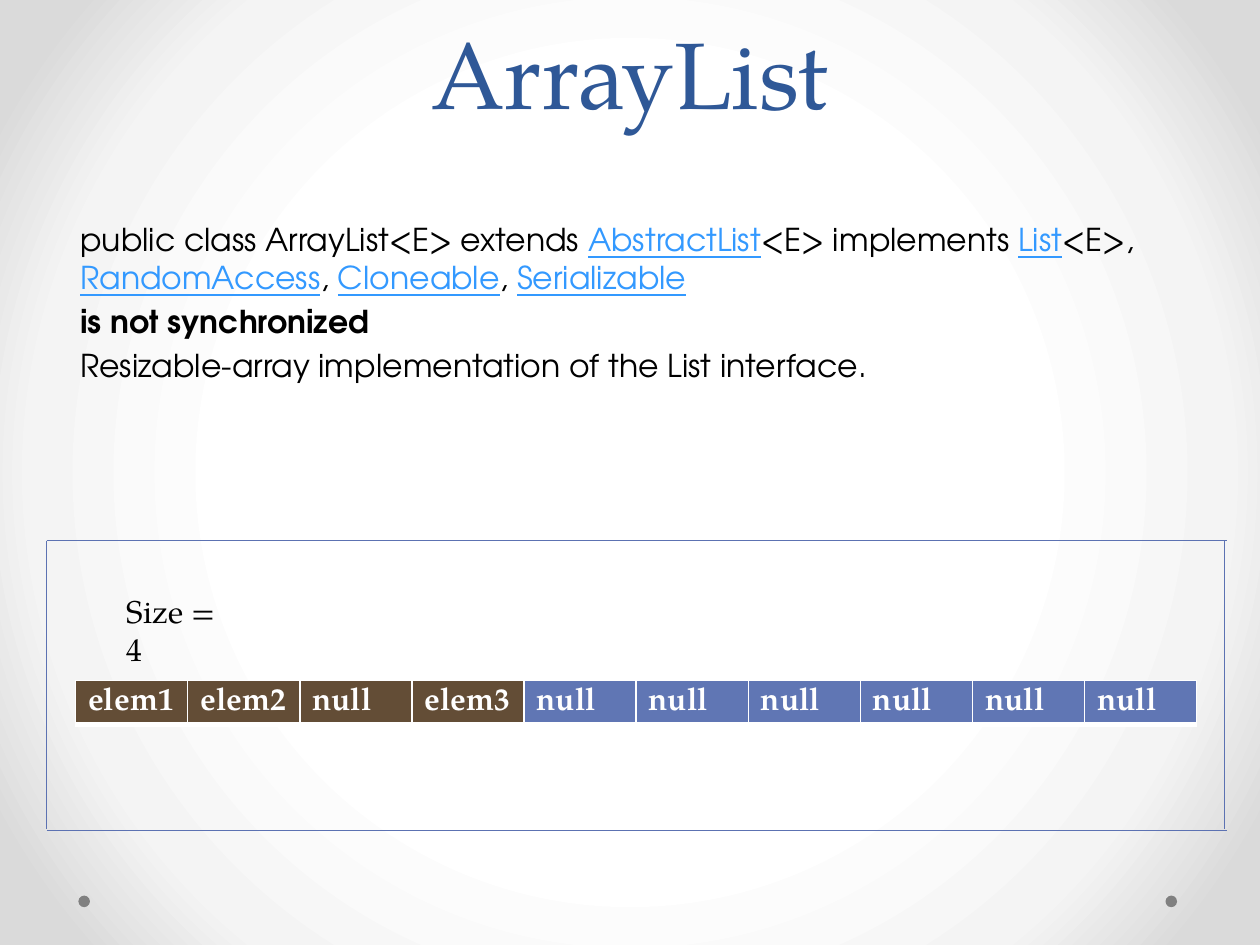
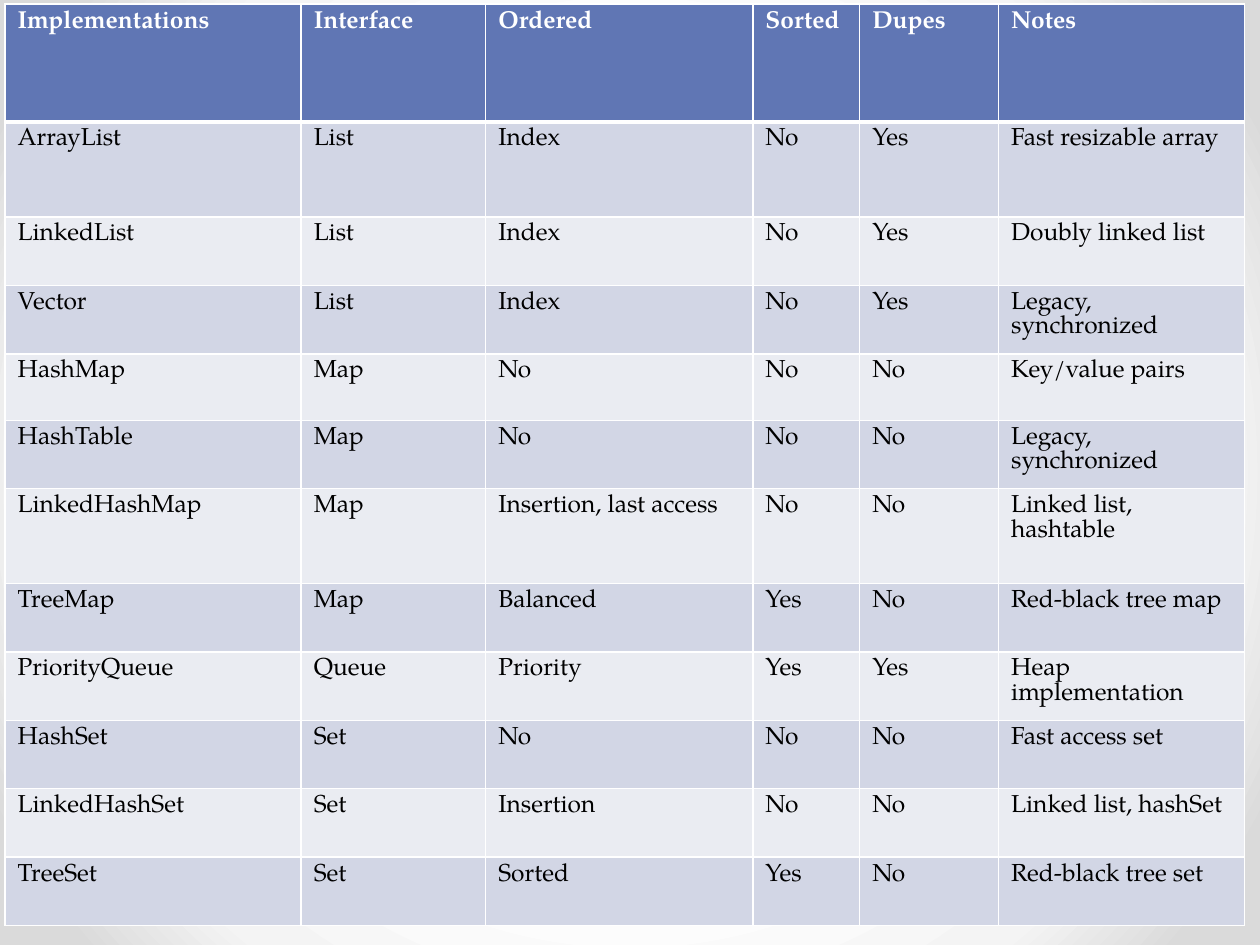
from pptx import Presentation
from pptx.dml.color import RGBColor
from pptx.enum.shapes import MSO_CONNECTOR, MSO_SHAPE
from pptx.enum.text import MSO_ANCHOR, PP_ALIGN
from pptx.oxml import parse_xml
from pptx.oxml.ns import nsdecls, qn
from pptx.util import Pt

WHITE = RGBColor(0xFF, 0xFF, 0xFF)
BLACK = RGBColor(0, 0, 0)
TITLE_BLUE = RGBColor(0x2F, 0x58, 0x97)
LINK_BLUE = RGBColor(0x33, 0x99, 0xFF)
FRAME_BLUE = RGBColor(0x5C, 0x72, 0xB2)
HEADER_BLUE = RGBColor(0x60, 0x76, 0xB4)
USED_BROWN = RGBColor(0x63, 0x4D, 0x36)
BAND_DARK = RGBColor(0xD2, 0xD6, 0xE5)
BAND_LIGHT = RGBColor(0xEA, 0xEC, 0xF2)
DOT_GRAY = RGBColor(0x80, 0x80, 0x80)
BACKDROP_STOPS = (
    (50, WHITE),
    (76, RGBColor(0xF4, 0xF4, 0xF4)),
    (92, RGBColor(0xDA, 0xDA, 0xDA)),
)
SERIF = "TeX Gyre Pagella"
SANS = "TeX Gyre Adventor"

TITLE = {"name": SERIF, "size": Pt(54), "color": TITLE_BLUE}
BODY = {"name": SANS, "size": Pt(18), "color": BLACK}
STRONG = {**BODY, "bold": True}
LINK = {**BODY, "color": LINK_BLUE, "underline": True}
LABEL = {**BODY, "name": SERIF}
ARRAY_CELL = {**LABEL, "color": WHITE, "bold": True}
TABLE_CELL = {**LABEL, "size": Pt(14)}
TABLE_HEADER = {**TABLE_CELL, "color": WHITE, "bold": True}

DECLARATION = [
    ("public class ArrayList<E> extends ", BODY),
    ("AbstractList", LINK),
    ("<E> implements ", BODY),
    ("List", LINK),
    ("<E>, ", BODY),
    ("RandomAccess", LINK),
    (", ", BODY),
    ("Cloneable", LINK),
    (", ", BODY),
    ("Serializable", LINK),
]
ARRAY_SLOTS = ["elem1", "elem2", "null", "elem3"] + ["null"] * 6
USED_SLOTS = 4

COLLECTIONS = [
    ("Implementations", "Interface", "Ordered", "Sorted", "Dupes", "Notes"),
    ("ArrayList", "List", "Index", "No", "Yes", "Fast resizable array"),
    ("LinkedList", "List", "Index", "No", "Yes", "Doubly linked list"),
    ("Vector", "List", "Index", "No", "Yes", "Legacy, synchronized"),
    ("HashMap", "Map", "No", "No", "No", "Key/value pairs"),
    ("HashTable", "Map", "No", "No", "No", "Legacy, synchronized"),
    ("LinkedHashMap", "Map", "Insertion, last access", "No", "No",
     "Linked list, hashtable"),
    ("TreeMap", "Map", "Balanced", "Yes", "No", "Red-black tree map"),
    ("PriorityQueue", "Queue", "Priority", "Yes", "Yes", "Heap implementation"),
    ("HashSet", "Set", "No", "No", "No", "Fast access set"),
    ("LinkedHashSet", "Set", "Insertion", "No", "No", "Linked list, hashSet"),
    ("TreeSet", "Set", "Sorted", "Yes", "No", "Red-black tree set"),
]
COLLECTION_WIDTHS = [169.2, 105.5, 152.6, 61.1, 79.4, 140.6]
COLLECTION_HEIGHTS = [67.6, 54.2, 39.1, 39.1, 38, 39.1, 54.2] + [39.1] * 5


class Deck:
    def __init__(self):
        self.presentation = Presentation()
        self.presentation.slide_width = Pt(720)
        self.presentation.slide_height = Pt(540)
        self.slide = None
        self.paint_backdrop()

    def paint_backdrop(self):
        master = self.presentation.slide_master
        master.background.fill.gradient()
        gradient = next(master.element.iter(qn("a:gradFill")))
        stops = "".join(
            f'<a:gs pos="{percent * 1000}"><a:srgbClr val="{color}"/></a:gs>'
            for percent, color in BACKDROP_STOPS
        )
        radial = parse_xml(
            f'<a:gradFill {nsdecls("a")} rotWithShape="1"><a:gsLst>{stops}</a:gsLst>'
            '<a:path path="circle"><a:fillToRect l="50000" t="50000" r="50000"'
            ' b="50000"/></a:path></a:gradFill>'
        )
        gradient.getparent().replace(gradient, radial)

    def new_slide(self):
        blank = self.presentation.slide_layouts[6]
        self.slide = self.presentation.slides.add_slide(blank)
        for left in (666, 44.8):
            self.dot(left, 511.8, 6.6)

    def dot(self, left, top, size):
        dot = self.slide.shapes.add_shape(
            MSO_SHAPE.OVAL, Pt(left), Pt(top), Pt(size), Pt(size)
        )
        dot.shadow.inherit = False
        dot.fill.solid()
        dot.fill.fore_color.rgb = DOT_GRAY
        dot.line.fill.background()

    def add_runs(self, paragraph, runs, **layout):
        for attribute, value in layout.items():
            setattr(paragraph, attribute, value)
        for words, style in runs:
            run = paragraph.add_run()
            run.text = words
            for attribute, value in style.items():
                if attribute == "color":
                    run.font.color.rgb = value
                else:
                    setattr(run.font, attribute, value)

    def text(self, left, top, width, height, paragraphs,
             anchor=MSO_ANCHOR.TOP, **layout):
        box = self.slide.shapes.add_textbox(Pt(left), Pt(top), Pt(width), Pt(height))
        frame = box.text_frame
        frame.word_wrap = True
        frame.vertical_anchor = anchor
        for index, runs in enumerate(paragraphs):
            paragraph = frame.add_paragraph() if index else frame.paragraphs[0]
            self.add_runs(paragraph, runs, **layout)

    def line(self, start, end):
        line = self.slide.shapes.add_connector(
            MSO_CONNECTOR.STRAIGHT, *(Pt(value) for value in (*start, *end))
        )
        line.line.color.rgb = FRAME_BLUE
        line.line.width = Pt(0.75)
        line._element.spPr.append(parse_xml(f'<a:effectLst {nsdecls("a")}/>'))

    def border(self, cell, row):
        widths = {"L": 1, "R": 1, "T": 3 if row == 1 else 1, "B": 3 if row == 0 else 1}
        properties = cell._tc.get_or_add_tcPr()
        for position, (side, width) in enumerate(widths.items()):
            properties.insert(position, parse_xml(
                f'<a:ln{side} {nsdecls("a")} w="{Pt(width)}"><a:solidFill>'
                f'<a:srgbClr val="{WHITE}"/></a:solidFill></a:ln{side}>'
            ))

    def table(self, left, top, widths, heights, rows, look):
        table = self.slide.shapes.add_table(
            len(rows), len(widths), Pt(left), Pt(top),
            Pt(sum(widths)), Pt(sum(heights)),
        ).table
        table.first_row = table.horz_banding = False
        for column, width in zip(table.columns, widths):
            column.width = Pt(width)
        for row_index, (row, height) in enumerate(zip(rows, heights)):
            table.rows[row_index].height = Pt(height)
            for column_index, words in enumerate(row):
                cell = table.cell(row_index, column_index)
                fill, style = look(row_index, column_index)
                cell.fill.solid()
                cell.fill.fore_color.rgb = fill
                self.border(cell, row_index)
                self.add_runs(cell.text_frame.paragraphs[0], [(words, style)],
                              line_spacing=style["size"])


def slot_look(row, column):
    return (USED_BROWN if column < USED_SLOTS else HEADER_BLUE), ARRAY_CELL


def collection_look(row, column):
    if row == 0:
        return HEADER_BLUE, TABLE_HEADER
    return (BAND_DARK if row % 2 else BAND_LIGHT), TABLE_CELL


def array_list_slide(deck):
    deck.new_slide()
    deck.text(36, 0, 648, 77, [[("ArrayList", TITLE)]], MSO_ANCHOR.BOTTOM,
              alignment=PP_ALIGN.CENTER, line_spacing=Pt(58))
    deck.text(38.9, 122.4, 648, 442, [
        DECLARATION,
        [("is not synchronized", STRONG)],
        [("Resizable-array implementation of the List interface.", BODY)],
    ], space_before=Pt(3.6))
    deck.table(43.2, 388.8, [64.08] * len(ARRAY_SLOTS), [25.2],
               [ARRAY_SLOTS], slot_look)
    left, right, top, bottom = 26.6, 699.8, 308.9, 474.5
    for x in (left, right):
        deck.line((x, top), (x, bottom - 0.7))
    for y in (top, bottom):
        deck.line((left, y), (right + 1.4, y))
    deck.text(65.5, 334.8, 74.2, 28.8, [[("Size = 4", LABEL)]])


def collections_slide(deck):
    deck.new_slide()
    deck.table(2.9, 2.2, COLLECTION_WIDTHS, COLLECTION_HEIGHTS,
               COLLECTIONS, collection_look)


def main():
    deck = Deck()
    array_list_slide(deck)
    collections_slide(deck)
    deck.presentation.save("out.pptx")


if __name__ == "__main__":
    main()
